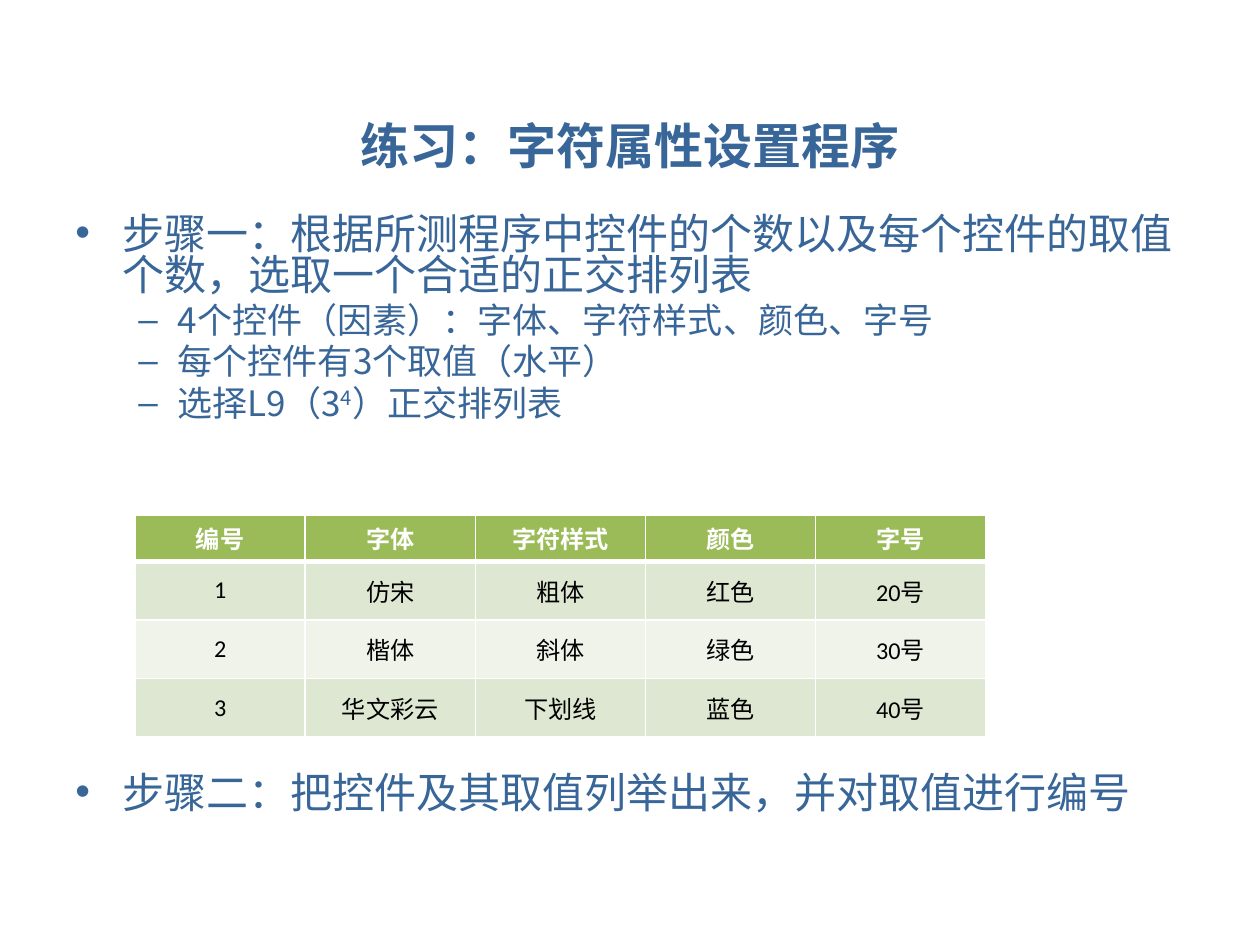
from dataclasses import dataclass

import pptx
import pptx.dml.color
import pptx.enum.text
import pptx.oxml.ns
import pptx.util
from lxml import etree

Pt = pptx.util.Pt
BLUE, WHITE, BLACK = "386698", "FFFFFF", "000000"
HEADER_GREEN, BANDS = "9BBB59", ("DEE7D1", "EFF3EA")
CJK = "Noto Sans CJK SC"


@dataclass(frozen=True)
class Style:
    size: float
    font: str
    colour: str
    bold: bool = False


@dataclass(frozen=True)
class Level:
    style: Style
    bullet: str
    margin: float
    hang: float


@dataclass(frozen=True)
class Item:
    level: Level
    spans: tuple[tuple[str, int], ...]  # text and baseline shift in percent


TITLE = Style(28, "Cabin", BLUE, True)
STEP = Level(Style(24, CJK, BLUE), "•", 27, 27)
DETAIL = Level(Style(20, CJK, BLUE), "–", 58.5, 22.5)
HEADER_CELL = Style(13.8, "Calibri", WHITE, True)
BODY_CELL = Style(13.8, "Calibri", BLACK)

STEP_ONE = (
    Item(STEP, (("步骤一：根据所测程序中控件的个数以及每个控件的取值个数，选取一个合适的正交排列表", 0),)),
    Item(DETAIL, (("4个控件（因素）：字体、字符样式、颜色、字号", 0),)),
    Item(DETAIL, (("每个控件有3个取值（水平）", 0),)),
    Item(DETAIL, (("选择L9（3", 0), ("4", 30), ("）正交排列表", 0))),
)
STEP_TWO = (Item(STEP, (("步骤二：把控件及其取值列举出来，并对取值进行编号", 0),)),)
VALUES = (
    ("编号", "字体", "字符样式", "颜色", "字号"),
    ("1", "仿宋", "粗体", "红色", "20号"),
    ("2", "楷体", "斜体", "绿色", "30号"),
    ("3", "华文彩云", "下划线", "蓝色", "40号"),
)


def rgb(colour: str) -> pptx.dml.color.RGBColor:
    return pptx.dml.color.RGBColor.from_string(colour)


def add_element(parent, tag: str, **attributes: str):
    return etree.SubElement(parent, pptx.oxml.ns.qn(tag), attributes)


def add_span(para, text: str, style: Style, shift: int = 0) -> None:
    span = para.add_run()
    span.text = text
    span.font.size = Pt(style.size)
    span.font.name = style.font
    span.font.bold = style.bold
    span.font.color.rgb = rgb(style.colour)
    properties = span.font._element
    add_element(properties, "a:ea", typeface=CJK)
    if shift:
        properties.set("baseline", str(shift * 1000))


def add_box(slide, top: float, height: float):
    box = slide.shapes.add_textbox(Pt(36), Pt(top), Pt(648), Pt(height))
    box.text_frame.word_wrap = True
    return box.text_frame


def add_title(slide, text: str) -> None:
    frame = add_box(slide, 62.6, 41)
    frame.vertical_anchor = pptx.enum.text.MSO_ANCHOR.MIDDLE
    para = frame.paragraphs[0]
    para.alignment = pptx.enum.text.PP_ALIGN.CENTER
    add_span(para, text, TITLE)


def add_list(slide, items: tuple[Item, ...], top: float, height: float) -> None:
    frame = add_box(slide, top, height)
    for index, item in enumerate(items):
        level = item.level
        para = frame.add_paragraph() if index else frame.paragraphs[0]
        para.line_spacing = 0.82
        if index:
            para.space_before = Pt(level.style.size * 0.2)
        properties = para._p.get_or_add_pPr()
        properties.set("marL", str(Pt(level.margin)))
        properties.set("indent", str(-Pt(level.hang)))
        add_element(properties, "a:buFont", typeface="Arial")
        add_element(properties, "a:buChar", char=level.bullet)
        for text, shift in item.spans:
            add_span(para, text, level.style, shift)


def set_borders(cell, bottom: float) -> None:
    """Draw white cell edges, 1 pt except for the bottom one."""
    properties = cell._tc.get_or_add_tcPr()
    widths = (("a:lnL", 1), ("a:lnR", 1), ("a:lnT", 1), ("a:lnB", bottom))
    for position, (tag, width) in enumerate(widths):
        line = add_element(properties, tag, w=str(Pt(width)))
        add_element(add_element(line, "a:solidFill"), "a:srgbClr", val=WHITE)
        properties.insert(position, line)


def add_values(slide) -> None:
    rows, columns = len(VALUES), len(VALUES[0])
    table = slide.shapes.add_table(rows, columns, Pt(77.2), Pt(294.6),
                                   Pt(486), Pt(126.7)).table
    for column in table.columns:
        column.width = Pt(97.2)
    for row_index, texts in enumerate(VALUES):
        is_header = row_index == 0
        table.rows[row_index].height = Pt(26.2 if is_header else 33.5)
        fill = HEADER_GREEN if is_header else BANDS[(row_index - 1) % 2]
        for column_index, text in enumerate(texts):
            cell = table.cell(row_index, column_index)
            cell.vertical_anchor = pptx.enum.text.MSO_ANCHOR.MIDDLE
            cell.margin_left = cell.margin_right = Pt(7)
            cell.margin_top = cell.margin_bottom = Pt(3)
            cell.fill.solid()
            cell.fill.fore_color.rgb = rgb(fill)
            set_borders(cell, 3 if is_header else 1)
            para = cell.text_frame.paragraphs[0]
            para.alignment = pptx.enum.text.PP_ALIGN.CENTER
            add_span(para, text, HEADER_CELL if is_header else BODY_CELL)


def main() -> None:
    deck = pptx.Presentation()
    deck.slide_width, deck.slide_height = Pt(720), Pt(540)
    page = deck.slides.add_slide(deck.slide_layouts[6])
    add_title(page, "练习：字符属性设置程序")
    add_list(page, STEP_ONE, 120, 155)
    add_list(page, STEP_TWO, 439.5, 36)
    add_values(page)
    deck.save("out.pptx")


if __name__ == "__main__":
    main()
